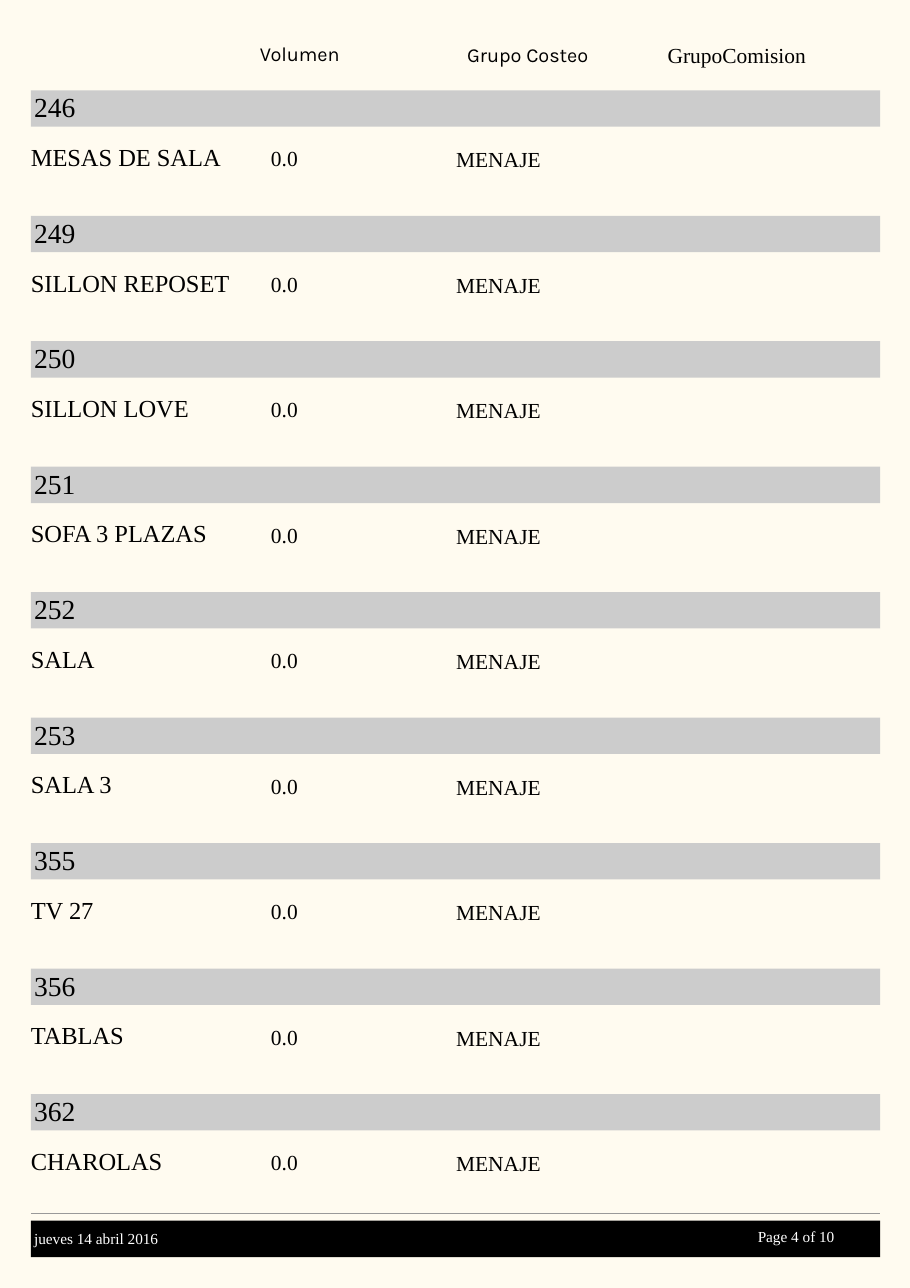
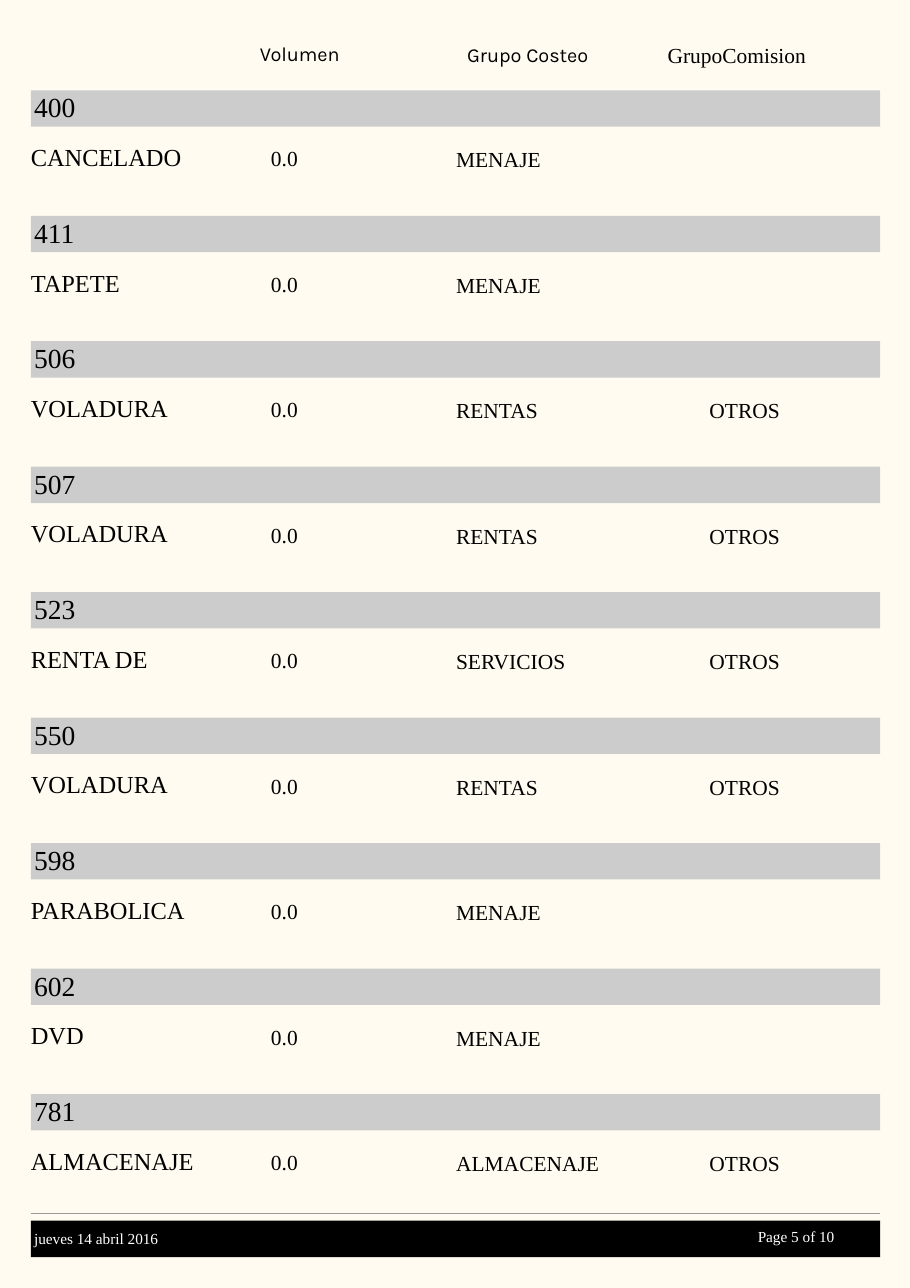
from pptx import Presentation
from pptx.dml.color import RGBColor
from pptx.enum.shapes import MSO_CONNECTOR, MSO_SHAPE
from pptx.enum.text import MSO_ANCHOR, PP_ALIGN
from pptx.oxml.ns import qn
from pptx.util import Inches, Pt
from lxml.etree import SubElement

COLORS = {"paper": "FFFBF0", "ink": "000000", "band": "CCCCCC",
          "rule": "999999", "footer": "000000", "footer_text": "FFFFFF"}

# Text styles
SERIF = "Times New Roman"
STYLES = {
    "heading": {"name": "Karla", "size": Pt(13)},
    "code": {"name": SERIF, "size": Pt(18)},
    "article": {"name": SERIF, "size": Pt(16)},
    "value": {"name": SERIF, "size": Pt(14)},
    "footer": {"name": SERIF, "size": Pt(10)},
}

# Page grid, in inches
LEFT, RIGHT = 0.28, 7.99
INDENT = 0.03
BAND_HEIGHT = 0.33
FIRST_TOP, LAST_TOP = 0.82, 9.93
RULE_TOP, FOOTER_TOP = 11.01, 11.08

HEADINGS = [
    ("Grupo Costeo", 4.24, 0.39, 1.39, 0.28, "heading"),
    ("GrupoComision", 6.06, 0.38, 1.54, 0.25, "value"),
    ("Volumen", 2.36, 0.38, 1.39, 0.28, "heading"),
]

# Columns of an article: left, offset below its band, width, height, style
COLUMNS = [
    (LEFT, 0.47, 1.85, 0.36, "article"),
    (4.14, 0.51, 1.54, 0.25, "value"),
    (6.44, 0.51, 1.54, 0.25, "value"),
    (2.46, 0.5, 1.54, 0.25, "value"),
]

# Page number: rows of code, article, cost group, commission group, volume
PAGES = {
    4: [
        ("246", "MESAS DE SALA", "MENAJE", "", "0.0"),
        ("249", "SILLON REPOSET", "MENAJE", "", "0.0"),
        ("250", "SILLON LOVE", "MENAJE", "", "0.0"),
        ("251", "SOFA 3 PLAZAS", "MENAJE", "", "0.0"),
        ("252", "SALA", "MENAJE", "", "0.0"),
        ("253", "SALA 3", "MENAJE", "", "0.0"),
        ("355", "TV 27", "MENAJE", "", "0.0"),
        ("356", "TABLAS", "MENAJE", "", "0.0"),
        ("362", "CHAROLAS", "MENAJE", "", "0.0"),
    ],
    5: [
        ("400", "CANCELADO", "MENAJE", "", "0.0"),
        ("411", "TAPETE", "MENAJE", "", "0.0"),
        ("506", "VOLADURA", "RENTAS", "OTROS", "0.0"),
        ("507", "VOLADURA", "RENTAS", "OTROS", "0.0"),
        ("523", "RENTA DE", "SERVICIOS", "OTROS", "0.0"),
        ("550", "VOLADURA", "RENTAS", "OTROS", "0.0"),
        ("598", "PARABOLICA", "MENAJE", "", "0.0"),
        ("602", "DVD", "MENAJE", "", "0.0"),
        ("781", "ALMACENAJE", "ALMACENAJE", "OTROS", "0.0"),
    ],
}


def add_text(slide, text, left, top, width, height, style, color="ink",
             anchor=MSO_ANCHOR.TOP, align=PP_ALIGN.LEFT):
    box = slide.shapes.add_textbox(Inches(left), Inches(top), Inches(width), Inches(height))
    frame = box.text_frame
    frame_format = {"word_wrap": True, "vertical_anchor": anchor, "margin_left": 0,
                    "margin_right": 0, "margin_top": 0, "margin_bottom": 0}
    for attribute, value in frame_format.items():
        setattr(frame, attribute, value)
    paragraph = frame.paragraphs[0]
    paragraph.alignment = align
    run = paragraph.add_run()
    run.text = text
    for attribute, value in STYLES[style].items():
        setattr(run.font, attribute, value)
    run.font.color.rgb = RGBColor.from_string(COLORS[color])


def add_band(slide, top, color):
    band = slide.shapes.add_shape(MSO_SHAPE.RECTANGLE, Inches(LEFT), Inches(top),
                                  Inches(RIGHT - LEFT), Inches(BAND_HEIGHT))
    band.shadow.inherit = False
    band.fill.solid()
    band.fill.fore_color.rgb = RGBColor.from_string(COLORS[color])
    band.line.fill.background()


deck = Presentation()
deck.slide_width, deck.slide_height = Inches(8.26), Inches(11.69)

# Shared paper colour
paper = deck.slide_master.background.fill
paper.solid()
paper.fore_color.rgb = RGBColor.from_string(COLORS["paper"])

for page, rows in PAGES.items():
    slide = deck.slides.add_slide(deck.slide_layouts[6])

    # Column headings
    for heading in HEADINGS:
        add_text(slide, *heading)

    # Articles, evenly spaced under their code bands
    pitch = (LAST_TOP - FIRST_TOP) / (len(rows) - 1)
    for index, (code, *values) in enumerate(rows):
        top = FIRST_TOP + index * pitch
        add_band(slide, top, "band")
        add_text(slide, code, LEFT + INDENT, top, 6.65, BAND_HEIGHT, "code")
        for value, (left, offset, width, height, style) in zip(values, COLUMNS):
            if value:
                add_text(slide, value, left, top + offset, width, height, style)

    # Footer rule
    rule = slide.shapes.add_connector(MSO_CONNECTOR.STRAIGHT, Inches(LEFT), Inches(RULE_TOP),
                                      Inches(RIGHT), Inches(RULE_TOP))
    rule.line.color.rgb = RGBColor.from_string(COLORS["rule"])
    rule.line.width = Pt(0.5)
    SubElement(rule._element.spPr, qn("a:effectLst"))

    # Footer band with page count and date
    add_band(slide, FOOTER_TOP, "footer")
    for text, left, top, width, align in [
        (" 10", 7.4, FOOTER_TOP, 0.56, PP_ALIGN.LEFT),
        (f"Page {page} of", 6.29, FOOTER_TOP, 1.11, PP_ALIGN.RIGHT),
        ("jueves 14 abril 2016", LEFT + INDENT, 11.1, 2.74, PP_ALIGN.LEFT),
    ]:
        add_text(slide, text, left, top, width, 0.28, "footer", "footer_text",
                 MSO_ANCHOR.MIDDLE, align)

deck.save("out.pptx")
